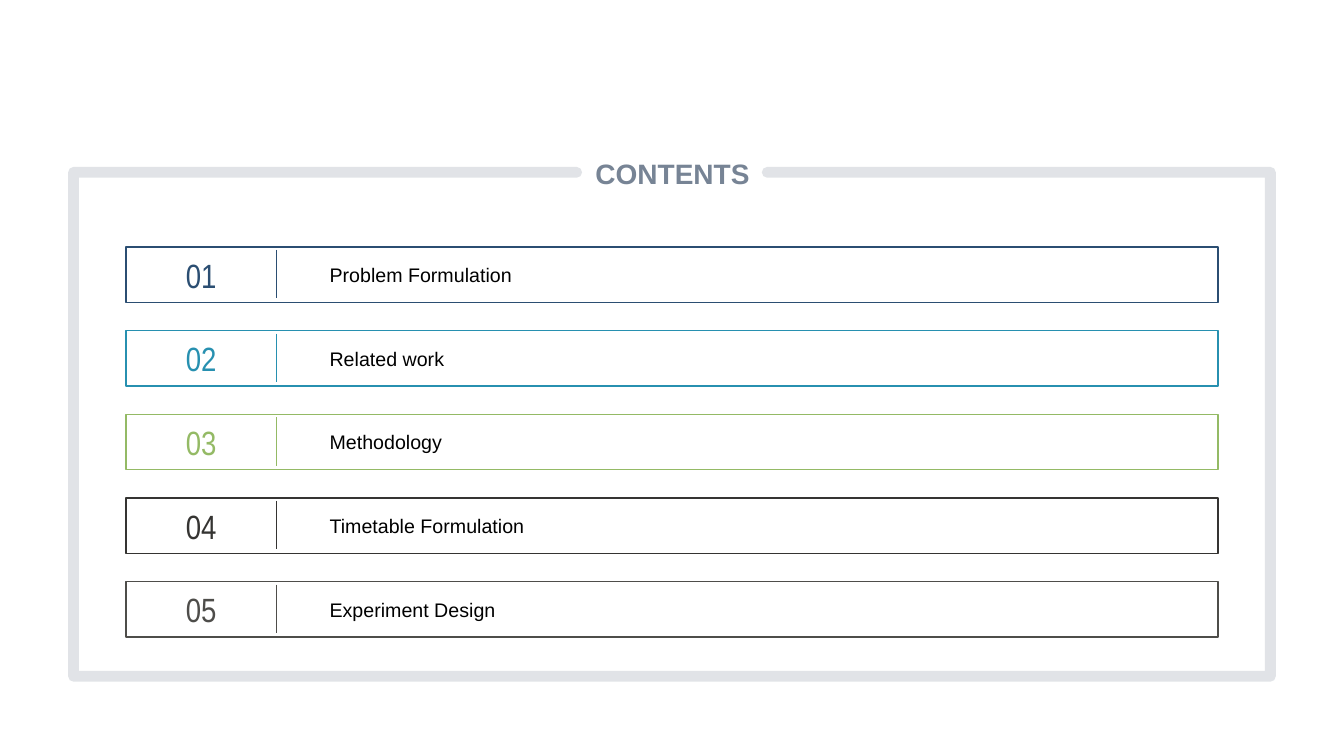
from lxml.etree import SubElement
from pptx import Presentation
from pptx.dml.color import RGBColor
from pptx.enum.shapes import MSO_CONNECTOR, MSO_SHAPE
from pptx.enum.text import MSO_ANCHOR, PP_ALIGN
from pptx.oxml.ns import qn
from pptx.util import Pt

PX = 9144
GREY = RGBColor(0x77, 0x84, 0x95)
BLACK = RGBColor(0x00, 0x00, 0x00)
NAVY = RGBColor(0x2B, 0x4E, 0x72)
BLUE = RGBColor(0x27, 0x90, 0xB0)
GREEN = RGBColor(0x94, 0xBA, 0x65)
CHARCOAL = RGBColor(0x35, 0x34, 0x32)
BROWN_GREY = RGBColor(0x4E, 0x4D, 0x4A)

CHAPTERS = [
    ("Problem Formulation", NAVY),
    ("Related work", BLUE),
    ("Methodology", GREEN),
    ("Timetable Formulation", CHARCOAL),
    ("Experiment Design", BROWN_GREY),
]
ROW_HEIGHT = 55
ROW_PITCH = 83


def add_text(slide, box, text, font_name, size, color, align, bold=False):
    """Add one vertically centred line of text in the given box."""
    text_box = slide.shapes.add_textbox(*(length * PX for length in box))
    text_frame = text_box.text_frame
    text_frame.word_wrap = True
    text_frame.vertical_anchor = MSO_ANCHOR.MIDDLE
    text_frame.text = text
    paragraph = text_frame.paragraphs[0]
    paragraph.alignment = align
    font = paragraph.runs[0].font
    font.name = font_name
    font.size = Pt(size)
    font.bold = bold
    font.color.rgb = color
    return text_box


def add_frame(slide, box, title):
    """Draw the pale open frame with the title in the gap of its top side."""
    left, top, width, height = box
    right, bottom = left + width, top + height
    gap_left, gap_right = left + 499, right - 499
    title_box = add_text(slide, (left + 508, top - 33, 172, 67), title,
                         "Arial", 20, GREY, PP_ALIGN.CENTER, bold=True)
    text_frame = title_box.text_frame
    text_frame.margin_left = text_frame.margin_right = 0
    text_frame.margin_top = text_frame.margin_bottom = 0

    builder = slide.shapes.build_freeform(gap_right, top, scale=PX)
    builder.add_line_segments(
        [(right, top), (right, bottom), (left, bottom), (left, top), (gap_left, top)],
        close=False)
    frame = builder.convert_to_shape()
    frame.shadow.inherit = False
    frame.fill.background()
    frame.line.color.rgb = GREY
    frame.line.width = Pt(7.75)
    line = frame.line._get_or_add_ln()
    line.set("cap", "rnd")
    SubElement(line.find(".//" + qn("a:srgbClr")), qn("a:alpha"), val="21000")
    SubElement(line, qn("a:round"))


def add_chapter(slide, box, number, name, color):
    """Draw one outlined row with its number, divider and chapter name."""
    left, top, width, height = box
    divider_x = left + 149
    name_left = left + 192
    outline = slide.shapes.add_shape(MSO_SHAPE.RECTANGLE, *(length * PX for length in box))
    outline.shadow.inherit = False
    outline.fill.background()
    outline.line.color.rgb = color
    outline.line.width = Pt(1)
    add_text(slide, (left, top, divider_x - left, height), f"{number:02}",
             "Arial Narrow", 24, color, PP_ALIGN.CENTER)
    divider = slide.shapes.add_connector(
        MSO_CONNECTOR.STRAIGHT, divider_x * PX, (top + 3) * PX,
        divider_x * PX, (top + height - 4) * PX)
    divider.line.color.rgb = color
    divider.line.width = Pt(1)
    SubElement(divider._element.spPr, qn("a:effectLst"))
    add_text(slide, (name_left, top, left + width - name_left, height), name,
             "Arial", 14, BLACK, PP_ALIGN.LEFT)


def add_contents_slide(presentation):
    """Add the contents slide with its frame and chapter rows."""
    slide = presentation.slides.add_slide(presentation.slide_layouts[6])
    add_frame(slide, (73, 171, 1187, 500), "CONTENTS")
    for index, (name, color) in enumerate(CHAPTERS):
        row = (125, 245 + index * ROW_PITCH, 1083, ROW_HEIGHT)
        add_chapter(slide, row, index + 1, name, color)


def main():
    """Build and save the presentation."""
    presentation = Presentation()
    presentation.slide_width = 1333 * PX
    presentation.slide_height = 750 * PX
    add_contents_slide(presentation)
    presentation.save("out.pptx")


if __name__ == "__main__":
    main()
